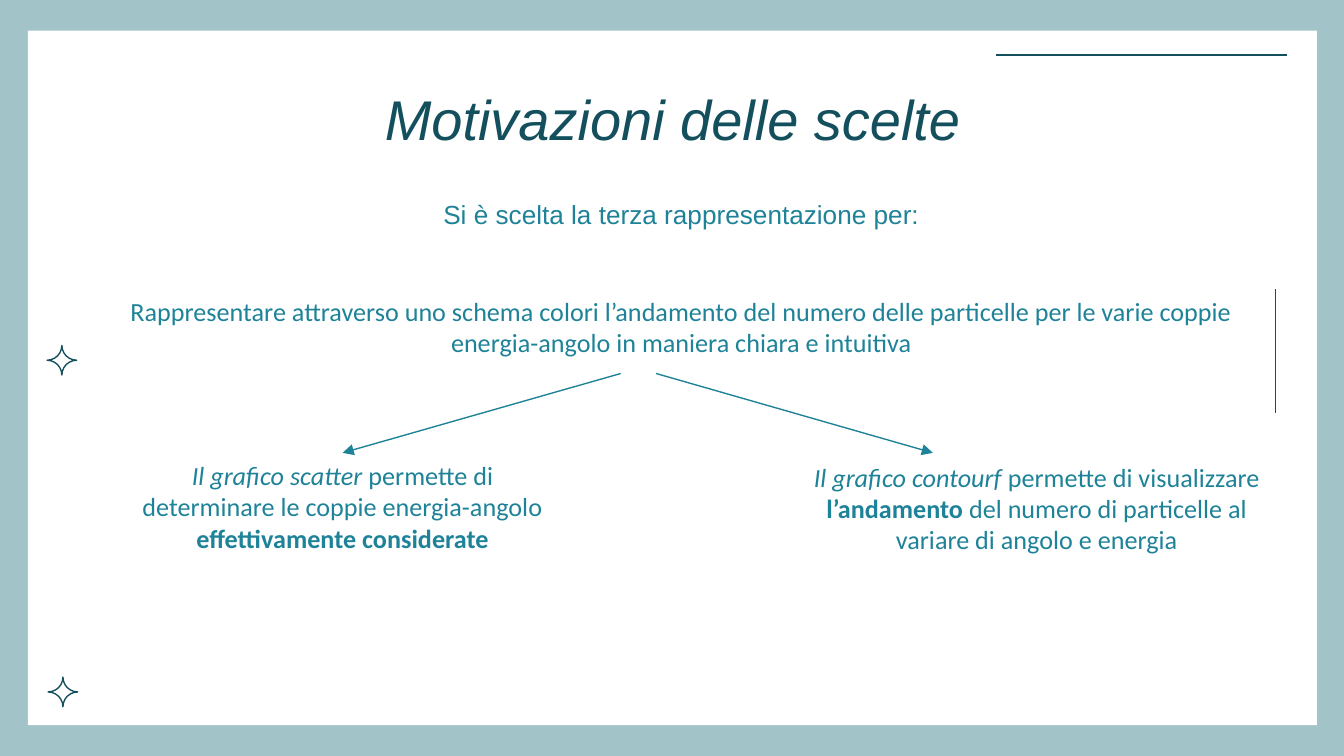
from lxml.etree import SubElement
from pptx import Presentation
from pptx.dml.color import RGBColor
from pptx.enum.shapes import MSO_CONNECTOR, MSO_SHAPE
from pptx.enum.text import MSO_ANCHOR, MSO_AUTO_SIZE, PP_ALIGN
from pptx.oxml.ns import qn
from pptx.util import Cm, Pt

DARK, TEAL, PALE, WHITE = "134F5C", "1E8298", "A2C4C9", "FFFFFF"


def paint(target, color):
    """Give a fill or a line's fill one solid colour."""
    target.solid()
    target.fore_color.rgb = RGBColor.from_string(color)


class Page:
    width = Pt(0.75)
    size = 14

    def __init__(self, slide):
        self.slide = slide
        self.shapes = slide.shapes
        paint(slide.background.fill, PALE)

    def shape(self, kind, box, fill=None, line=None):
        item = self.shapes.add_shape(kind, *map(Cm, box))
        item.shadow.inherit = False
        if fill:
            paint(item.fill, fill)
        else:
            item.fill.background()
        if line:
            paint(item.line.fill, line)
            item.line.width = self.width
        else:
            item.line.fill.background()
        return item

    def star(self, left, top):
        item = self.shape(MSO_SHAPE.PLAQUE, (left, top, 0.56, 0.56), line=DARK)
        item.adjustments[0] = 0.5

    def line(self, ends, color, arrow=False):
        item = self.shapes.add_connector(MSO_CONNECTOR.STRAIGHT, *map(Cm, ends))
        paint(item.line.fill, color)
        item.line.width = self.width
        props = item.element.spPr
        if arrow:
            SubElement(props.find(qn("a:ln")), qn("a:tailEnd"), type="triangle")
        SubElement(props, qn("a:effectLst"))
        return item

    def add_runs(self, para, runs, font="Calibri", size=size, color=TEAL):
        """Add (text, style) runs; style is "i", "b" or empty."""
        para.alignment = PP_ALIGN.CENTER
        for text, style in runs:
            run = para.add_run()
            run.text = text
            run.font.name = font
            run.font.size = Pt(size)
            run.font.italic = style == "i"
            run.font.bold = style == "b"
            run.font.color.rgb = RGBColor.from_string(color)

    def title(self, text, box):
        item = self.shapes.title
        item.left, item.top, item.width, item.height = map(Cm, box)
        frame = item.text_frame
        frame.auto_size = MSO_AUTO_SIZE.NONE
        frame.vertical_anchor = MSO_ANCHOR.TOP
        frame.margin_left = frame.margin_right = frame.margin_bottom = Cm(0.25)
        frame.margin_top = Cm(0.35)
        self.add_runs(frame.paragraphs[0], [(text, "i")], "Arial", 30, DARK)
        # Bring the title in front of the white panel
        self.shapes.element.append(item.element)

    def text(self, box, runs):
        item = self.shapes.add_textbox(*map(Cm, box))
        frame = item.text_frame
        frame.word_wrap = True
        frame.auto_size = MSO_AUTO_SIZE.SHAPE_TO_FIT_TEXT
        self.add_runs(frame.paragraphs[0], runs)
        return item

    def intro(self, box, lead, body):
        frame = self.text(box, []).text_frame
        self.add_runs(frame.paragraphs[0], [(lead, "")], "Arial")
        para = frame.add_paragraph()
        para.space_before = Pt(35)
        self.add_runs(para, [(body, "")])


def main():
    deck = Presentation()
    deck.slide_width, deck.slide_height = Cm(25.4), Cm(14.29)
    page = Page(deck.slides.add_slide(deck.slide_layouts[5]))

    page.shape(MSO_SHAPE.RECTANGLE, (0.53, 0.58, 24.36, 13.13), fill=WHITE)
    page.line((18.82, 1.04, 24.33, 1.04), DARK)
    page.star(0.91, 12.8)
    page.title("Motivazioni delle scelte", (2.01, 1.24, 21.41, 1.6))
    page.star(0.89, 6.53)
    page.line((24.1, 5.46, 24.1, 7.8), DARK)

    page.intro(
        (1.45, 3.63, 22.86, 4.45),
        "Si è scelta la terza rappresentazione per:",
        "Rappresentare attraverso uno schema colori l’andamento del numero "
        "delle particelle per le varie coppie energia-angolo in maniera "
        "chiara e intuitiva",
    )
    left = page.text((2.21, 8.56, 8.53, 2.06), [
        ("Il grafico scatter", "i"),
        (" permette di determinare le coppie energia-angolo ", ""),
        ("effettivamente considerate", "b"),
    ])
    page.text((14.68, 8.59, 9.83, 2.06), [
        ("Il grafico contourf ", "i"),
        ("permette di visualizzare ", ""),
        ("l’andamento", "b"),
        (" del numero di particelle al variare di angolo e energia", ""),
    ])
    arrow = page.line((11.73, 7.06, 6.45, 8.56), TEAL, arrow=True)
    arrow.end_connect(left, 0)
    page.line((12.4, 7.06, 17.63, 8.56), TEAL, arrow=True)

    deck.save("out.pptx")


if __name__ == "__main__":
    main()
